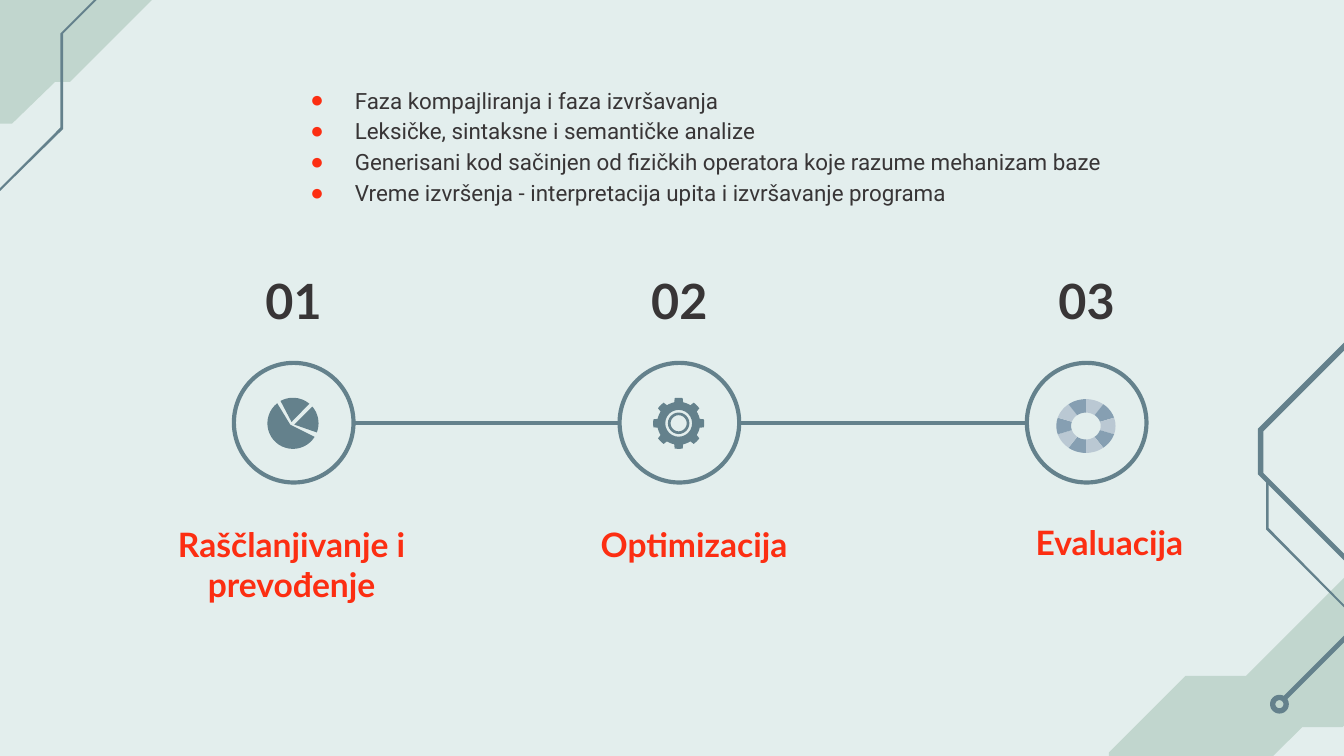
from math import cos, radians, sin

from lxml import etree
from pptx import Presentation
from pptx.dml.color import RGBColor
from pptx.enum.shapes import MSO_CONNECTOR, MSO_SHAPE
from pptx.enum.text import MSO_ANCHOR, MSO_AUTO_SIZE, PP_ALIGN
from pptx.oxml.ns import qn
from pptx.util import Inches, Pt

STRAIGHT, OVAL = MSO_CONNECTOR.STRAIGHT, MSO_SHAPE.OVAL
MIDDLE, NO_FIT = MSO_ANCHOR.MIDDLE, MSO_AUTO_SIZE.NONE
CENTER, LEFT = PP_ALIGN.CENTER, PP_ALIGN.LEFT
color = RGBColor.from_string

BACKGROUND, SAGE, SLATE = "E3EEED", "C1D6CE", "64818C"
RED, DARK = "FC2E12", "383536"
LIGHT_BLUE, MID_BLUE = "BAC8D3", "869FB2"

# Widescreen slide, 16:9
prs = Presentation()
prs.slide_width, prs.slide_height = Inches(10), Inches(10 * 9 / 16)
slide = prs.slides.add_slide(prs.slide_layouts[1])
slide.background.fill.solid()
slide.background.fill.fore_color.rgb = color(BACKGROUND)
title = slide.shapes.title.element
title.getparent().remove(title)


def arc(cx, cy, rx, ry, start=0, end=360, steps=24):
    """Points along an elliptical arc, in clockwise degrees from the right."""
    angles = [radians(start + (end - start) * i / steps) for i in range(steps + 1)]
    return [(cx + rx * cos(a), cy + ry * sin(a)) for a in angles]


def outline(fill, *contours):
    """One filled freeform; contours after the first cut holes."""
    contours = [[(Inches(x), Inches(y)) for x, y in c] for c in contours]
    builder = slide.shapes.build_freeform(*contours[0][0], scale=1.0)
    builder.add_line_segments(contours[0][1:])
    for hole in contours[1:]:
        builder.move_to(*hole[0])
        builder.add_line_segments(hole[1:])
    shape = builder.convert_to_shape()
    shape.shadow.inherit = False
    shape.fill.solid()
    shape.fill.fore_color.rgb = color(fill)
    shape.line.fill.background()


# Top-left corner decoration
outline(SAGE, [(1.19, -0.72), (0.65, -0.18), (0.16, -0.18), (-0.94, 0.92),
               (0.09, 0.92), (0.41, 0.61), (0.52, 0.61), (1.85, -0.72)])
outline(SLATE, [(1.21, -0.51), (0.45, 0.25), (0.45, 0.95), (-0.12, 1.52),
                (-0.11, 1.53), (0.47, 0.96), (0.47, 0.25), (1.22, -0.5)])

# Bottom-right corner decoration
outline(SAGE, [(10.27, 4.03), (9.27, 5.03), (8.82, 5.03), (8.25, 5.6),
               (8.25, 5.86), (7.89, 6.22), (8.87, 6.22), (9.69, 5.41),
               (9.99, 5.41), (10.58, 4.82), (10.58, 4.66), (11.21, 4.03)])
outline(SLATE, [(12.18, 1.15), (11.21, 2.12), (10.43, 2.12), (9.36, 3.19),
                (9.36, 3.53), (10.01, 4.18), (10.01, 4.72), (9.53, 5.2),
                (9.56, 5.22), (10.05, 4.73), (10.05, 4.17), (9.4, 3.52),
                (9.4, 3.21), (10.45, 2.16), (11.22, 2.16), (12.21, 1.18)])
outline(SLATE, [(9.42, 3.57), (9.42, 3.94), (10.02, 4.54),
                (10.03, 4.53), (9.44, 3.93), (9.44, 3.57)])
outline(SLATE, arc(9.52, 5.24, 0.07, 0.07), arc(9.52, 5.24, 0.03, 0.03))

# Phase circles
DIAMETER, CIRCLE_TOP, AXIS = 0.89, 2.7, 3.15
circle_lefts = [1.74, 4.61, 7.64]
for left in circle_lefts:
    circle = slide.shapes.add_shape(
        OVAL, Inches(left), Inches(CIRCLE_TOP), Inches(DIAMETER), Inches(DIAMETER))
    circle.shadow.inherit = False
    circle.fill.background()
    circle.line.color.rgb = color(SLATE)
    circle.line.width = Pt(2.25)

# Lines between neighbouring circles
for left, next_left in zip(circle_lefts, circle_lefts[1:]):
    link = slide.shapes.add_connector(
        STRAIGHT, Inches(left + DIAMETER), Inches(AXIS), Inches(next_left), Inches(AXIS))
    link.line.color.rgb = color(SLATE)
    link.line.width = Pt(2.25)
    etree.SubElement(link.element.spPr, qn("a:effectLst"))

# Phase numbers and names: text, box, size, colour
captions = [
    ("01", (1.35, 1.94, 1.67, 0.58), 26, DARK),
    ("02", (4.22, 1.94, 1.67, 0.58), 26, DARK),
    ("03", (7.25, 1.94, 1.67, 0.58), 26, DARK),
    ("Raščlanjivanje i prevođenje", (0.78, 3.75, 2.78, 0.89), 18, RED),
    ("Optimizacija", (4.05, 3.79, 2.23, 0.52), 18, RED),
    ("Evaluacija", (7.27, 3.83, 1.97, 0.41), 18, RED),
]
for text, box, size, ink in captions:
    frame = slide.shapes.add_textbox(*map(Inches, box)).text_frame
    frame.word_wrap = True
    frame.vertical_anchor = MIDDLE
    frame.margin_left = frame.margin_right = Inches(0.1)
    frame.margin_top = frame.margin_bottom = Inches(0.1)
    caption = frame.paragraphs[0]
    caption.text = text
    caption.alignment = CENTER
    caption.font.name, caption.font.size, caption.font.bold = "Lato", Pt(size), True
    caption.font.color.rgb = color(ink)

# Pie icon: apex of each slice, then its arc
for apex, start, end in [((2.16, 3.16), 32, 232), ((2.17, 3.14), 241, 310),
                         ((2.19, 3.16), -41, 21)]:
    outline(SLATE, [apex] + arc(2.18, 3.15, 0.19, 0.19, start, end))

# Gear icon: eight teeth around a hole, with a ring inside
gear_x, gear_y = 5.05, 3.15
gear = []
for tooth in range(0, 360, 45):
    gear += arc(gear_x, gear_y, 0.19, 0.19, tooth - 9, tooth + 9, 4)
    gear += arc(gear_x, gear_y, 0.16, 0.16, tooth + 12, tooth + 33, 4)
outline(SLATE, gear, arc(gear_x, gear_y, 0.1, 0.1))
outline(SLATE, arc(gear_x, gear_y, 0.08, 0.08), arc(gear_x, gear_y, 0.06, 0.06))

# Segmented ring icon: ten equal parts in alternating colours
ring_x, ring_y, SWEEP = 8.08, 3.17, 36
for i in range(10):
    start = -90 + i * SWEEP
    outer = arc(ring_x, ring_y, 0.22, 0.2, start, start + SWEEP)
    inner = arc(ring_x, ring_y, 0.11, 0.1, start + SWEEP, start)
    outline(MID_BLUE if i % 2 else LIGHT_BLUE, outer + inner)

# Bulleted description
points = [
    "Faza kompajliranja i faza izvršavanja",
    "Leksičke, sintaksne i semantičke analize",
    "Generisani kod sačinjen od fizičkih operatora koje razume mehanizam baze",
    "Vreme izvršenja - interpretacija upita i izvršavanje programa",
]
body = slide.placeholders[1]
body.left, body.top, body.width, body.height = map(Inches, (2.04, 0.5, 6.69, 1.15))
frame = body.text_frame
frame.word_wrap = True
frame.auto_size = NO_FIT
frame.vertical_anchor = MIDDLE
frame.margin_left = frame.margin_right = Inches(0.1)
frame.margin_top = frame.margin_bottom = Inches(0.1)
frame.text = "\n".join(points)
for point in frame.paragraphs:
    point.alignment = LEFT
    point.line_spacing = 1.15
    point.space_before = point.space_after = Pt(0)
    point.font.name, point.font.size = "Roboto", Pt(12)
    point.font.color.rgb = color(DARK)
    props = point._p.get_or_add_pPr()
    props.set("marL", str(Inches(0.5)))
    props.set("indent", str(Inches(-0.33)))
    bullet_color = etree.Element(qn("a:buClr"))
    etree.SubElement(bullet_color, qn("a:srgbClr"), val=RED)
    bullet = etree.Element(qn("a:buChar"), char="●")
    run_defaults = props.find(qn("a:defRPr"))
    run_defaults.addprevious(bullet_color)
    run_defaults.addprevious(bullet)

prs.save("out.pptx")
